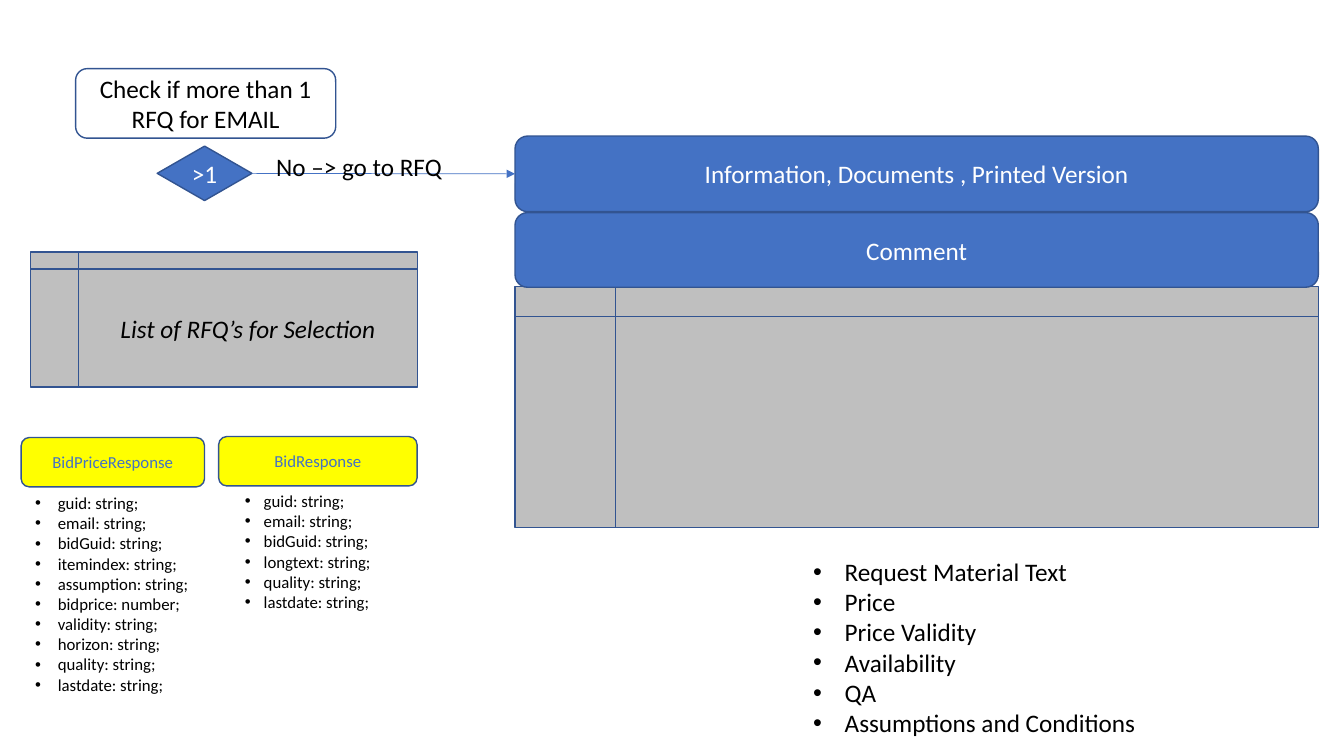
from dataclasses import dataclass

from lxml import etree
from pptx import Presentation
from pptx.dml.color import RGBColor
from pptx.enum.shapes import MSO_CONNECTOR, MSO_SHAPE
from pptx.enum.text import MSO_ANCHOR, MSO_AUTO_SIZE, PP_ALIGN
from pptx.oxml.ns import qn
from pptx.util import Pt

ROUNDED = MSO_SHAPE.ROUNDED_RECTANGLE
DECISION = MSO_SHAPE.FLOWCHART_DECISION
STORAGE = MSO_SHAPE.FLOWCHART_INTERNAL_STORAGE
STRAIGHT = MSO_CONNECTOR.STRAIGHT
CENTER = PP_ALIGN.CENTER
MIDDLE = MSO_ANCHOR.MIDDLE
GROW = MSO_AUTO_SIZE.SHAPE_TO_FIT_TEXT

FONT = "Calibri"
BLUE, OUTLINE = "4472C4", "325491"
YELLOW, GRAY = "FFFF00", "BFBFBF"
WHITE, BLACK = "FFFFFF", "000000"
LEFT_SIDE, RIGHT_SIDE = 1, 3
PANEL_LEFT, PANEL_WIDTH = 367.9, 573.8
RESPONSE_WIDTH, RESPONSE_HEIGHT = 131, 35.3


@dataclass
class Node:
    kind: MSO_SHAPE
    left: float
    top: float
    width: float
    height: float
    fill: str
    text: str = ""
    color: str = WHITE
    size: float = 18
    italic: bool = False


@dataclass
class TextBlock:
    left: float
    top: float
    width: float
    height: float
    lines: list[str]
    size: float = 18
    indent: float = 0


RESPONSES = [
    Node(ROUNDED, 156.2, 311.8, 141.8, RESPONSE_HEIGHT, YELLOW, "BidResponse", BLUE, 12),
    Node(ROUNDED, 15.1, 312.5, RESPONSE_WIDTH, RESPONSE_HEIGHT, YELLOW,
         "BidPriceResponse", BLUE, 12),
]
DETAILS_PANEL = Node(STORAGE, PANEL_LEFT, 204.5, PANEL_WIDTH, 172.1, GRAY)
COMMENT = Node(ROUNDED, PANEL_LEFT, 151.9, PANEL_WIDTH, 53.3, BLUE, "Comment")
INFORMATION = Node(ROUNDED, PANEL_LEFT, 97.2, PANEL_WIDTH, 54, BLUE,
                   "Information, Documents , Printed Version")
EMAIL_CHECK = Node(ROUNDED, 54, 49, 185.8, 49.7, WHITE,
                   "Check if more than 1 RFQ for EMAIL", BLACK)
DECISION_NODE = Node(DECISION, 112.3, 104.4, 67.7, 38.9, BLUE, ">1")
RFQ_LIST = Node(STORAGE, 21.6, 180, 276.5, 96.5, GRAY,
                "List of RFQ’s for Selection", BLACK, italic=True)

FIELD_LISTS = [
    TextBlock(18, 348.5, RESPONSE_WIDTH, 152.6, [
        "guid: string;", "email: string;", "bidGuid: string;", "itemindex: string;",
        "assumption: string;", "bidprice: number;", "validity: string;",
        "horizon: string;", "quality: string;", "lastdate: string;",
    ], 12, 16.2),
    TextBlock(167.8, 347, RESPONSE_WIDTH, 94.3, [
        "guid: string;", "email: string;", "bidGuid: string;",
        "longtext: string;", "quality: string;", "lastdate: string;",
    ], 12, 13.5),
    TextBlock(573.8, 393.8, 273.6, 138.2, [
        "Request Material Text", "Price", "Price Validity",
        "Availability", "QA", "Assumptions and Conditions",
    ], 18, 22.5),
]
NO_BRANCH = TextBlock(190.1, 104.4, 154.8, 28.8, ["No –> go to RFQ"])


def rgb(value: str) -> RGBColor:
    return RGBColor.from_string(value)


def format_text(paragraph, size: float, color: str, italic: bool = False) -> None:
    font = paragraph.font
    font.name = FONT
    font.size = Pt(size)
    font.color.rgb = rgb(color)
    font.italic = italic


def draw_node(slide, node: Node):
    shape = slide.shapes.add_shape(
        node.kind, Pt(node.left), Pt(node.top), Pt(node.width), Pt(node.height))
    shape.shadow.inherit = False
    shape.fill.solid()
    shape.fill.fore_color.rgb = rgb(node.fill)
    shape.line.color.rgb = rgb(OUTLINE)
    shape.line.width = Pt(1)
    if node.text:
        frame = shape.text_frame
        frame.word_wrap = True
        frame.vertical_anchor = MIDDLE
        label = frame.paragraphs[0]
        label.text = node.text
        label.alignment = CENTER
        format_text(label, node.size, node.color, node.italic)
    return shape


def add_bullet(paragraph, indent: float) -> None:
    properties = paragraph._p.get_or_add_pPr()
    properties.set("marL", str(Pt(indent)))
    properties.set("indent", str(-Pt(indent)))
    etree.SubElement(properties, qn("a:buFont")).set("typeface", "Arial")
    etree.SubElement(properties, qn("a:buChar")).set("char", "•")


def draw_text(slide, block: TextBlock) -> None:
    box = slide.shapes.add_textbox(
        Pt(block.left), Pt(block.top), Pt(block.width), Pt(block.height))
    frame = box.text_frame
    frame.word_wrap = True
    frame.auto_size = GROW
    frame.text = "\n".join(block.lines)
    for paragraph in frame.paragraphs:
        if block.indent:
            add_bullet(paragraph, block.indent)
        format_text(paragraph, block.size, BLACK)


def draw_arrow(slide, source, target) -> None:
    arrow = slide.shapes.add_connector(STRAIGHT, 0, 0, 0, 0)
    arrow.begin_connect(source, RIGHT_SIDE)
    arrow.end_connect(target, LEFT_SIDE)
    arrow.line.color.rgb = rgb(BLUE)
    arrow.line.width = Pt(0.5)
    etree.SubElement(arrow.line._get_or_add_ln(), qn("a:tailEnd")).set("type", "triangle")
    etree.SubElement(arrow._element.spPr, qn("a:effectLst"))


def main() -> None:
    presentation = Presentation()
    presentation.slide_width = Pt(960)
    presentation.slide_height = Pt(540)
    slide = presentation.slides.add_slide(presentation.slide_layouts[6])

    for response in RESPONSES:
        draw_node(slide, response)
    for field_list in FIELD_LISTS:
        draw_text(slide, field_list)
    for node in (DETAILS_PANEL, COMMENT):
        draw_node(slide, node)
    information = draw_node(slide, INFORMATION)
    draw_node(slide, EMAIL_CHECK)
    decision = draw_node(slide, DECISION_NODE)
    draw_arrow(slide, decision, information)
    draw_node(slide, RFQ_LIST)
    draw_text(slide, NO_BRANCH)

    presentation.save("out.pptx")


if __name__ == "__main__":
    main()
